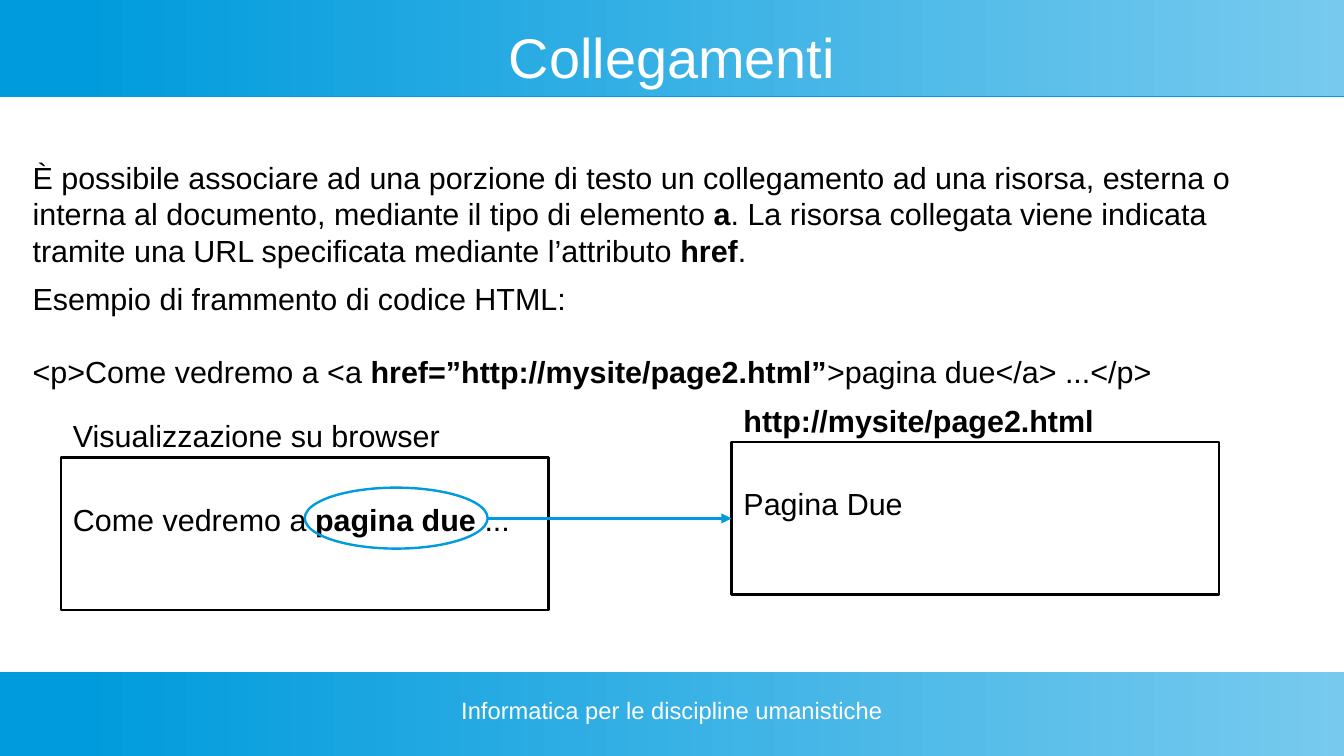
from lxml import etree
from pptx import Presentation
from pptx.dml.color import RGBColor
from pptx.enum.shapes import MSO_CONNECTOR as CONN, MSO_SHAPE as SHAPE
from pptx.enum.text import MSO_ANCHOR as ANCHOR, PP_ALIGN as ALIGN
from pptx.oxml.ns import qn
from pptx.util import Cm, Pt

BLUE = RGBColor(0x00, 0x9B, 0xDD)
LIGHT_BLUE = RGBColor(0x77, 0xCA, 0xEE)
WHITE = RGBColor(0xFF, 0xFF, 0xFF)
BLACK = RGBColor(0x00, 0x00, 0x00)
SLIDE_W, SLIDE_H = 28, 15.75
LINE_WIDTH = Pt(1.42)


def write(tf, paragraphs, size=18, color=BLACK, align=ALIGN.LEFT, gap=0):
    tf.word_wrap = True
    for i, runs in enumerate(paragraphs):
        p = tf.paragraphs[0] if i == 0 else tf.add_paragraph()
        p.alignment = align
        p.font.name, p.font.size, p.font.color.rgb = "Arial", Pt(size), color
        if i:
            p.space_before = Pt(gap)
        for text, bold in runs:
            r = p.add_run()
            r.text = text
            if bold:
                r.font.bold = True


def add_text(s, box, paragraphs, **style):
    sp = s.shapes.add_textbox(*map(Cm, box))
    write(sp.text_frame, paragraphs, **style)
    return sp


def add_heading(s, box, text, size, anchor):
    sp = add_text(s, box, [[(text, False)]], size=size, color=WHITE, align=ALIGN.CENTER)
    tf = sp.text_frame
    tf.margin_left = tf.margin_top = tf.margin_right = tf.margin_bottom = 0
    tf.vertical_anchor = anchor


def add_band(s, top, height):
    sp = s.shapes.add_shape(SHAPE.RECTANGLE, 0, Cm(top), Cm(SLIDE_W), Cm(height))
    sp.shadow.inherit = False
    sp.line.fill.background()
    sp.fill.gradient()
    sp.fill.gradient_angle = 0
    start, end = sp.fill.gradient_stops
    start.color.rgb, start.position = BLUE, 0.06
    end.color.rgb, end.position = LIGHT_BLUE, 1


def add_outline(s, kind, box, color):
    sp = s.shapes.add_shape(kind, *map(Cm, box))
    sp.shadow.inherit = False
    sp.fill.background()
    sp.line.color.rgb, sp.line.width = color, LINE_WIDTH
    return sp


def add_page(s, left, top, caption, runs):
    sp = add_outline(s, SHAPE.RECTANGLE, (left, top, 10.16, 3.18), BLACK)
    tf = sp.text_frame
    tf.vertical_anchor = ANCHOR.TOP
    tf.margin_top = Cm(0.9)
    write(tf, [runs])
    add_text(s, (left, top - 0.96, 8.26, 0.96), [[caption]])
    return sp


def add_line(s, x1, y1, x2, y2, width):
    line = s.shapes.add_connector(CONN.STRAIGHT, Cm(x1), Cm(y1), Cm(x2), Cm(y2))
    line.line.color.rgb, line.line.width = BLUE, width
    etree.SubElement(line._element.spPr, qn("a:effectLst"))
    return line


def add_arrow(s, x1, y1, target):
    arrow = add_line(s, x1, y1, target.left.cm, y1, LINE_WIDTH)
    arrow.end_connect(target, 1)
    etree.SubElement(arrow.line._get_or_add_ln(), qn("a:tailEnd"), type="triangle")


def main():
    prs = Presentation()
    prs.slide_width, prs.slide_height = Cm(SLIDE_W), Cm(SLIDE_H)
    s = prs.slides.add_slide(prs.slide_layouts[6])

    add_band(s, 0, 2)
    add_line(s, 0, 2.01, SLIDE_W, 2.01, Pt(0.9))
    add_band(s, 14, 1.75)
    add_heading(s, (1, 0.5, 26, 1.32), "Collegamenti", 33, ANCHOR.MIDDLE)

    add_text(s, (0.43, 3.18, 26.24, 2.39), [[
        ("È possibile associare ad una porzione di testo un collegamento ad una "
         "risorsa, esterna o interna al documento, mediante il tipo di elemento ", False),
        ("a", True),
        (". La risorsa collegata viene indicata tramite una URL specificata "
         "mediante l’attributo ", False),
        ("href", True),
        (".", False),
    ]])
    add_text(s, (0.43, 5.72, 26.24, 2.39), [
        [("Esempio di frammento di codice HTML:", False)],
        [("<p>Come vedremo a <a", False),
         (" href=”http://mysite/page2.html”", True),
         (">pagina due</a> ...</p>", False)],
    ], gap=21.5)

    add_page(s, 1.27, 9.53, ("Visualizzazione su browser", False),
             [("Come vedremo a ", False), ("pagina due", True), (" ...", False)])
    linked_page = add_page(s, 15.24, 9.21, ("http://mysite/page2.html", True),
                           [("Pagina Due", False)])
    add_outline(s, SHAPE.OVAL, (6.35, 10.16, 3.81, 1.27), BLUE)
    add_arrow(s, 10.16, 10.8, linked_page)

    add_heading(s, (9.5, 14.5, 9, 1), "Informatica per le discipline umanistiche",
                14, ANCHOR.TOP)
    prs.save("out.pptx")


if __name__ == "__main__":
    main()
